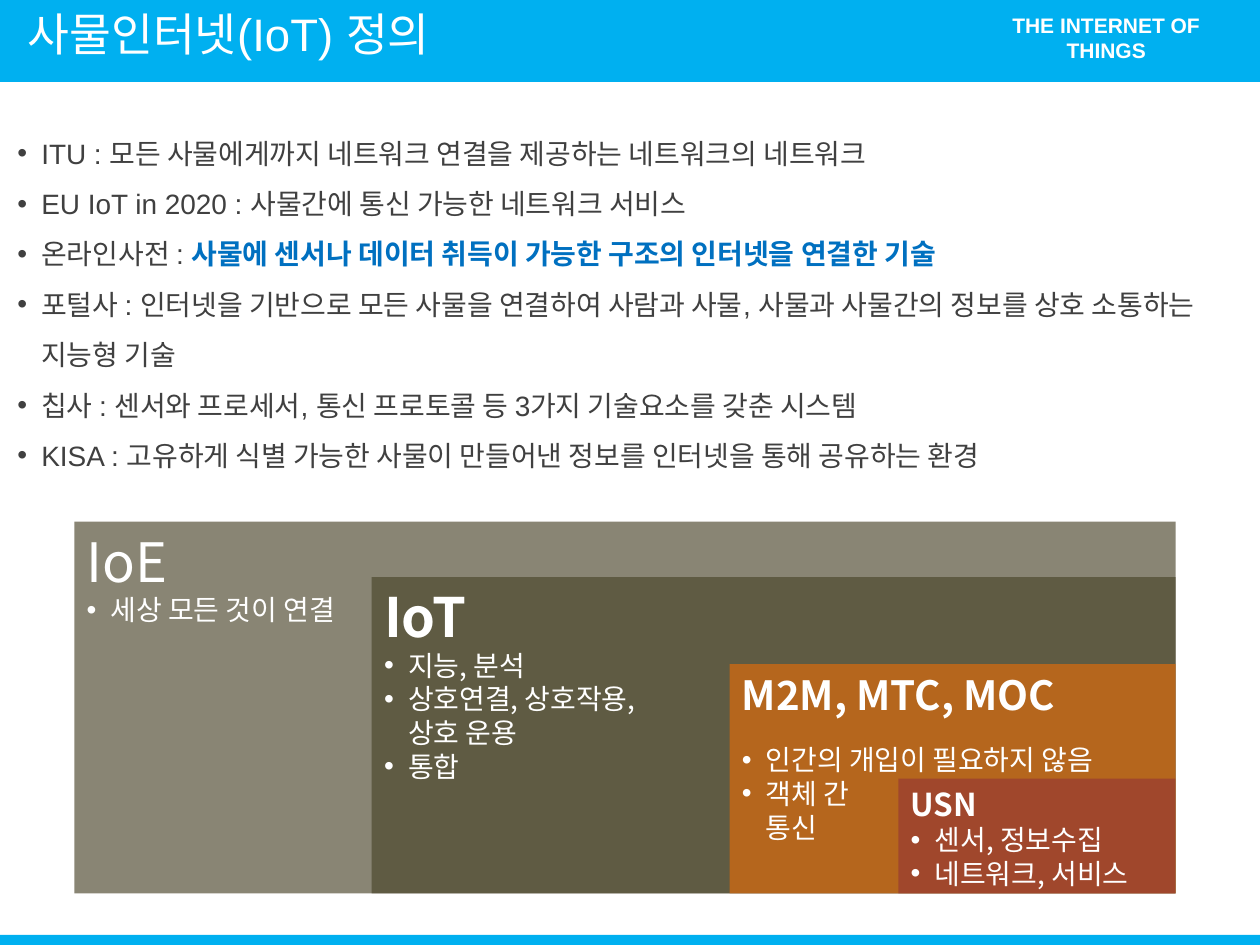
from lxml import etree
from pptx import Presentation
from pptx.dml.color import RGBColor
from pptx.enum.shapes import MSO_SHAPE
from pptx.enum.text import MSO_ANCHOR, PP_ALIGN
from pptx.oxml.ns import qn
from pptx.util import Inches, Pt

RECT = MSO_SHAPE.RECTANGLE
TOP = MSO_ANCHOR.TOP
LEFT, CENTER = PP_ALIGN.LEFT, PP_ALIGN.CENTER
SANS, NOTO = "Arial", "Noto Sans CJK KR"
WHITE, SKY, GRAY, BLUE = "FFFFFF", "00B0F0", "404040", "0070C0"
INDENT = 0.19
RIGHT, BOTTOM = 9.33, 7.09  # corner shared by all nested boxes

FACTS = [
    ("ITU : 모든 사물에게까지 네트워크 연결을 제공하는 네트워크의 네트워크", ""),
    ("EU IoT in 2020 : 사물간에 통신 가능한 네트워크 서비스", ""),
    ("온라인사전 : ", "사물에 센서나 데이터 취득이 가능한 구조의 인터넷을 연결한 기술"),
    ("포털사 : 인터넷을 기반으로 모든 사물을 연결하여 사람과 사물, "
     "사물과 사물간의 정보를 상호 소통하는 지능형 기술", ""),
    ("칩사 : 센서와 프로세서, 통신 프로토콜 등 3가지 기술요소를 갖춘 시스템", ""),
    ("KISA : 고유하게 식별 가능한 사물이 만들어낸 정보를 인터넷을 통해 공유하는 환경", ""),
]

# left, top, fill, title, title size, title bold, gap below title, (text, bulleted) lines
LAYERS = [
    (0.59, 4.14, "4A452A", "IoE", 31, False, 0, [("세상 모든 것이 연결", True)]),
    (2.95, 4.58, "4A452A", "IoT", 31, True, 0,
     [("지능, 분석", True), ("상호연결, 상호작용,", True),
      ("상호 운용", False), ("통합", True)]),
    (5.79, 5.27, "E46C0A", "M2M, MTC, MOC", 23, True, 14,
     [("인간의 개입이 필요하지 않음", True), ("객체 간", True), ("통신", False)]),
    (7.13, 6.18, "953735", "USN", 18, True, 0,
     [("센서, 정보수집", True), ("네트워크, 서비스", True)]),
]


def color(text):
    return RGBColor.from_string(text)


def style(run, size, font, tint, bold=False):
    run.font.size = Pt(size)
    run.font.name = font
    run.font.bold = bold
    run.font.color.rgb = color(tint)
    east = etree.SubElement(run.font._element, qn("a:ea"))
    east.set("typeface", NOTO)


def indent(para, bullet=True):
    """Indent a paragraph, hanging it from a bullet if wanted."""
    props = para._p.get_or_add_pPr()
    props.set("marL", str(Inches(INDENT)))
    props.set("indent", str(Inches(-INDENT) if bullet else 0))
    if bullet:
        face = etree.SubElement(props, qn("a:buFont"))
        face.set("typeface", SANS)
        etree.SubElement(props, qn("a:buChar")).set("char", "•")


def add_rect(slide, left, top, width, height, fill, alpha=None):
    """Add a plain rectangle; alpha is its opacity in percent."""
    rect = slide.shapes.add_shape(
        RECT, Inches(left), Inches(top), Inches(width), Inches(height))
    rect.shadow.inherit = False
    rect.fill.solid()
    rect.fill.fore_color.rgb = color(fill)
    rect.line.fill.background()
    if alpha:
        tone = rect._element.spPr.find(qn("a:solidFill"))[0]
        etree.SubElement(tone, qn("a:alpha")).set("val", str(alpha * 1000))
    return rect


def add_box(slide, left, top, width, height, wrap=True):
    box = slide.shapes.add_textbox(
        Inches(left), Inches(top), Inches(width), Inches(height))
    box.text_frame.word_wrap = wrap
    return box.text_frame


def add_label(slide, place, text, size, bold=False, align=LEFT, wrap=True):
    para = add_box(slide, *place, wrap=wrap).paragraphs[0]
    para.text = text
    para.alignment = align
    style(para.runs[0], size, SANS, WHITE, bold)


def add_facts(slide):
    frame = add_box(slide, 0.04, 0.9, 9.57, 2.93)
    for i, (plain, strong) in enumerate(FACTS):
        para = frame.add_paragraph() if i else frame.paragraphs[0]
        para.text = plain
        para.line_spacing = 1.5
        indent(para)
        style(para.runs[0], 16, SANS, GRAY)
        if strong:
            run = para.add_run()
            run.text = strong
            style(run, 16, SANS, BLUE, True)


def add_layer(slide, left, top, fill, title, size, bold, gap, lines):
    rect = add_rect(slide, left, top, RIGHT - left, BOTTOM - top, fill, 65)
    frame = rect.text_frame
    frame.word_wrap = True
    frame.vertical_anchor = TOP
    head = frame.paragraphs[0]
    head.text = title
    head.alignment = LEFT
    head.space_after = Pt(gap)
    style(head.runs[0], size, NOTO, WHITE, bold)
    for text, bullet in lines:
        para = frame.add_paragraph()
        para.text = text
        para.alignment = LEFT
        indent(para, bullet)
        style(para.runs[0], 16, NOTO, WHITE)


def main():
    deck = Presentation()
    deck.slide_width, deck.slide_height = Inches(10), Inches(7.5)
    slide = deck.slides.add_slide(deck.slide_layouts[6])
    add_rect(slide, 0, -0.03, 10, 0.68, SKY)
    add_rect(slide, 0, 7.42, 10, 0.08, SKY)
    add_label(slide, (7.6, 0.05, 2.36, 0.5), "THE INTERNET OF THINGS",
              12, True, CENTER)
    add_label(slide, (0.12, 0, 3.62, 0.54), "사물인터넷(IoT) 정의", 26, wrap=False)
    add_facts(slide)
    for layer in LAYERS:
        add_layer(slide, *layer)
    deck.save("out.pptx")


if __name__ == "__main__":
    main()
